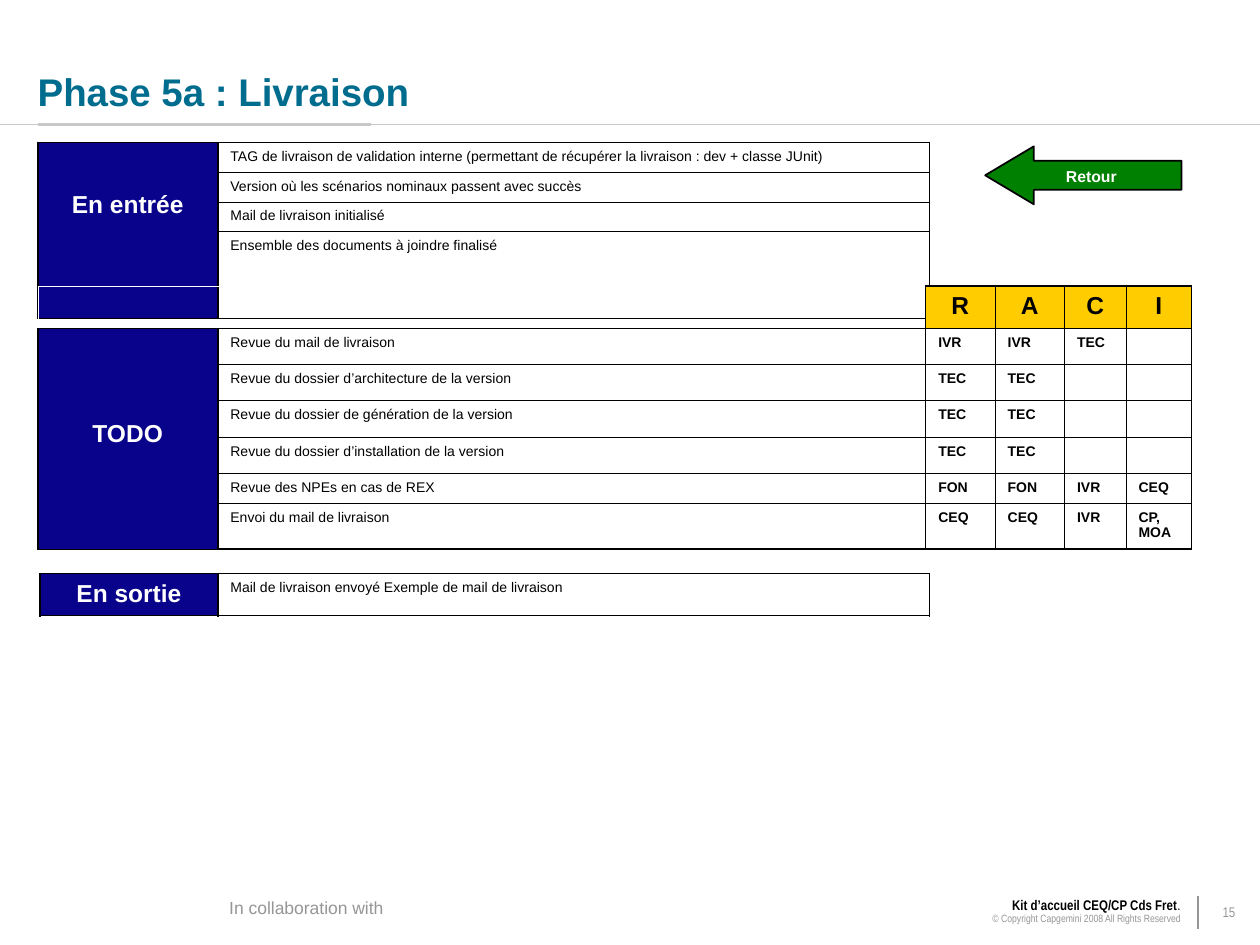
from dataclasses import dataclass

from lxml import etree
from pptx import Presentation
from pptx import util as u
from pptx.dml.color import RGBColor
from pptx.enum import shapes, text
from pptx.oxml import ns


@dataclass(frozen=True)
class Theme:
    font: str = "Arial"
    narrow: str = "Arial Narrow"
    title: str = "006C8E"
    black: str = "000000"
    white: str = "FFFFFF"
    navy: str = "09038B"
    gold: str = "FFCC00"
    green: str = "008000"
    rule: str = "C8C8C8"
    grey: str = "969696"
    title_pt: float = 22
    head_pt: float = 14
    collab_pt: float = 10
    label_pt: float = 9
    body_pt: float = 8
    legal_pt: float = 6
    thick: float = 1.08
    thin: float = 0.45
    hair: float = 0.11


T = Theme()
CENTER, RIGHT = text.PP_ALIGN.CENTER, text.PP_ALIGN.RIGHT
MIDDLE, BOTTOM = text.MSO_ANCHOR.MIDDLE, text.MSO_ANCHOR.BOTTOM

HEAD = {"size": T.head_pt, "bold": True, "color": T.white}
RACI_HEAD = {"size": T.head_pt, "bold": True}
ROLE = {"bold": True}

INPUTS = [
    "TAG de livraison de validation interne (permettant de récupérer la livraison : dev + classe JUnit)",
    "Version où les scénarios nominaux passent avec succès",
    "Mail de livraison initialisé",
    "Ensemble des documents à joindre finalisé",
]
TASKS = [
    ("Revue du mail de livraison", "IVR", "IVR", "TEC", ""),
    ("Revue du dossier d’architecture de la version", "TEC", "TEC", "", ""),
    ("Revue du dossier de génération de la version", "TEC", "TEC", "", ""),
    ("Revue du dossier d’installation de la version", "TEC", "TEC", "", ""),
    ("Revue des NPEs en cas de REX", "FON", "FON", "IVR", "CEQ"),
    ("Envoi du mail de livraison", "CEQ", "CEQ", "IVR", "CP, MOA"),
]


def rgb(color):
    return RGBColor.from_string(color)


def add_run(p, content, size=T.body_pt, color=T.black, bold=False, font=T.font):
    r = p.add_run()
    r.text = content
    values = {"size": u.Pt(size), "bold": bold, "name": font}
    for name, value in values.items():
        setattr(r.font, name, value)
    r.font.color.rgb = rgb(color)


def add_text(s, box, paragraphs, align=None, anchor=None, spacing=None, wrap=True, inset=True):
    """Each paragraph is a list of (text, run format) pairs."""
    tf = s.shapes.add_textbox(*map(u.Cm, box)).text_frame
    values = {"word_wrap": wrap, "vertical_anchor": anchor}
    if not inset:
        values.update(margin_left=0, margin_top=0, margin_right=0, margin_bottom=0)
    for name, value in values.items():
        setattr(tf, name, value)
    for i, runs in enumerate(paragraphs):
        p = tf.add_paragraph() if i else tf.paragraphs[0]
        p.alignment, p.line_spacing = align, spacing
        for content, fmt in runs:
            add_run(p, content, **fmt)


def add_line(s, x1, y1, x2, y2, color, width):
    c = s.shapes.add_connector(shapes.MSO_CONNECTOR.STRAIGHT, *map(u.Cm, (x1, y1, x2, y2)))
    c.line.color.rgb, c.line.width = rgb(color), u.Pt(width)
    etree.SubElement(c._element.spPr, ns.qn("a:effectLst"))


def set_borders(cell, edges):
    """Edges are (color, width) pairs in the order left, right, top, bottom."""
    tc_pr = cell._tc.get_or_add_tcPr()
    for i, (side, (color, width)) in enumerate(zip("LRTB", edges)):
        ln = etree.Element(ns.qn(f"a:ln{side}"), w=str(u.Pt(width)))
        fill = etree.SubElement(ln, ns.qn("a:solidFill"))
        etree.SubElement(fill, ns.qn("a:srgbClr"), val=color)
        tc_pr.insert(i, ln)


def fill_cell(cell, content, fill=None, align=None, top=None, **fmt):
    if fill:
        cell.fill.solid()
        cell.fill.fore_color.rgb = rgb(fill)
    if top:
        cell.margin_top = u.Cm(top)
    p = cell.text_frame.paragraphs[0]
    p.alignment = align
    add_run(p, content, **fmt)


def add_grid(s, left, top, cols, rows, thick_x, thick_y):
    """Table without fill; thick_x and thick_y number the heavy grid lines."""
    size = (left, top, sum(cols), sum(rows))
    table = s.shapes.add_table(len(rows), len(cols), *map(u.Cm, size)).table
    table.first_row = table.horz_banding = False
    for column, width in zip(table.columns, cols):
        column.width = u.Cm(width)
    for row, height in zip(table.rows, rows):
        row.height = u.Cm(height)

    def edge(index, heavy):
        return T.black, T.thick if index in heavy else T.thin

    for y in range(len(rows)):
        for x in range(len(cols)):
            cell = table.cell(y, x)
            cell.fill.background()
            set_borders(cell, [edge(x, thick_x), edge(x + 1, thick_x),
                               edge(y, thick_y), edge(y + 1, thick_y)])
            end = cell.text_frame.paragraphs[0]._p.get_or_add_endParaRPr()
            end.set("sz", str(T.body_pt * 100))
    return table


def add_stage(s, label, items, left, top, cols, rows, label_top):
    """Navy stage label beside its list of items."""
    table = add_grid(s, left, top, cols, rows, {0, 1, 2}, {0, len(rows)})
    if len(rows) > 1:
        table.cell(0, 0).merge(table.cell(len(rows) - 1, 0))
    fill_cell(table.cell(0, 0), label, T.navy, CENTER, label_top, **HEAD)
    for y, item in enumerate(items):
        fill_cell(table.cell(y, 1), item)


def add_raci(s):
    rows = [0.85] + [0.73] * 4 + [0.6, 0.93]
    cols = [3.63, 14.27, 1.4, 1.4, 1.24, 1.32]
    table = add_grid(s, 0.76, 5.77, cols, rows, {0, 1, 2, 6}, {0, 1, 7})
    white, black = (T.white, T.hair), (T.black, T.thick)
    for x in range(2):
        cell = table.cell(0, x)
        for side in "LRTB":
            cell._tc.tcPr.remove(cell._tc.tcPr.find(ns.qn(f"a:ln{side}")))
        set_borders(cell, [white, black, white, black])
    table.cell(0, 0).merge(table.cell(0, 1))
    table.cell(1, 0).merge(table.cell(6, 0))
    fill_cell(table.cell(1, 0), "TODO", T.navy, CENTER, 1.85, **HEAD)
    for x, letter in enumerate("RACI", 2):
        fill_cell(table.cell(0, x), letter, T.gold, CENTER, **RACI_HEAD)
    for y, (task, *roles) in enumerate(TASKS, 1):
        fill_cell(table.cell(y, 1), task)
        for x, role in enumerate(roles, 2):
            if role:
                fill_cell(table.cell(y, x), role, **ROLE)


def add_back_arrow(s):
    sp = s.shapes.add_shape(shapes.MSO_SHAPE.LEFT_ARROW, *map(u.Cm, (19.86, 2.95, 3.96, 1.17)))
    sp.shadow.inherit = False
    sp.adjustments[0], sp.adjustments[1] = 0.5, 0.84
    sp.fill.solid()
    sp.fill.fore_color.rgb = rgb(T.green)
    sp.line.color.rgb, sp.line.width = rgb(T.black), u.Pt(1)
    label = {"size": T.label_pt, "bold": True, "color": T.white}
    add_text(s, (20.2, 3.23, 3.6, 0.64), [[("Retour", label)]], CENTER)


def add_footer(s):
    add_text(s, (4.37, 18.03, 3.61, 0.61),
             [[("In collaboration with", {"size": T.collab_pt, "color": T.grey})]],
             CENTER, spacing=0.85, wrap=False)
    kit = {"font": T.narrow}
    legal = {"font": T.narrow, "size": T.legal_pt, "color": T.grey}
    add_text(s, (11.4, 18.01, 12.65, 0.76),
             [[("Kit d’accueil CEQ/CP Cds Fret", {**kit, "bold": True}), (".", kit)],
              [("© Copyright Capgemini 2008 All Rights Reserved", legal)]],
             RIGHT, spacing=0.85)
    add_line(s, 24.15, 18.06, 24.15, 18.72, T.grey, 0.75)
    add_text(s, (24.15, 18.06, 1.25, 0.69), [[("15", {**kit, "color": T.grey})]],
             CENTER, MIDDLE, 0.85)


def main():
    prs = Presentation()
    prs.slide_width, prs.slide_height = u.Cm(25.4), u.Cm(19.05)
    s = prs.slides.add_slide(prs.slide_layouts[6])
    add_line(s, 0, 2.51, 25.4, 2.51, T.rule, 0.75)
    add_line(s, 0.76, 2.51, 7.47, 2.51, T.rule, 2.25)
    add_footer(s)
    title = {"size": T.title_pt, "bold": True, "color": T.title}
    add_text(s, (0.76, 0, 24.1, 2.31), [[("Phase 5a : Livraison", title)]],
             anchor=BOTTOM, inset=False)
    add_stage(s, "En entrée", INPUTS, 0.76, 2.87, [3.63, 14.35], [0.6] * 3 + [1.75], 0.99)
    add_stage(s, "En sortie", ["Mail de livraison envoyé Exemple de mail de livraison"],
              0.81, 11.56, [3.58, 14.35], [0.85], 0.13)
    add_raci(s)
    add_back_arrow(s)
    prs.save("out.pptx")


if __name__ == "__main__":
    main()
